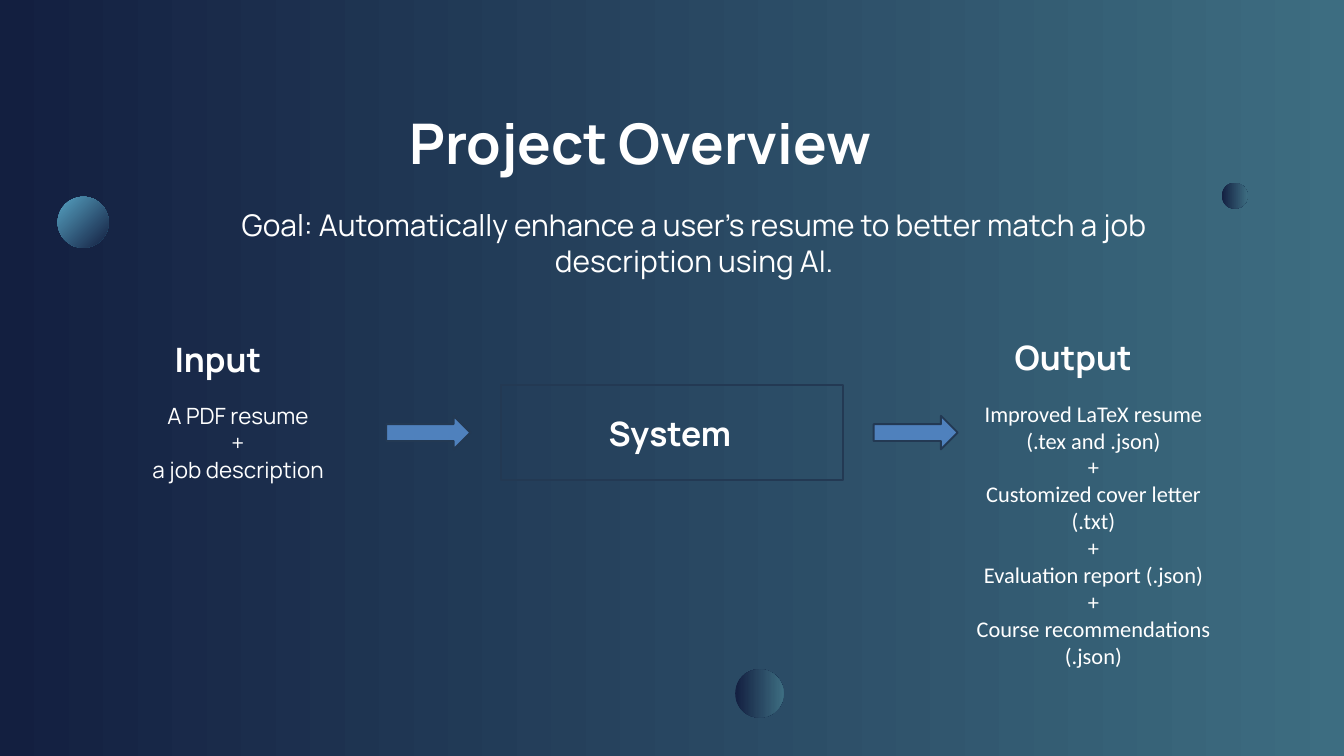
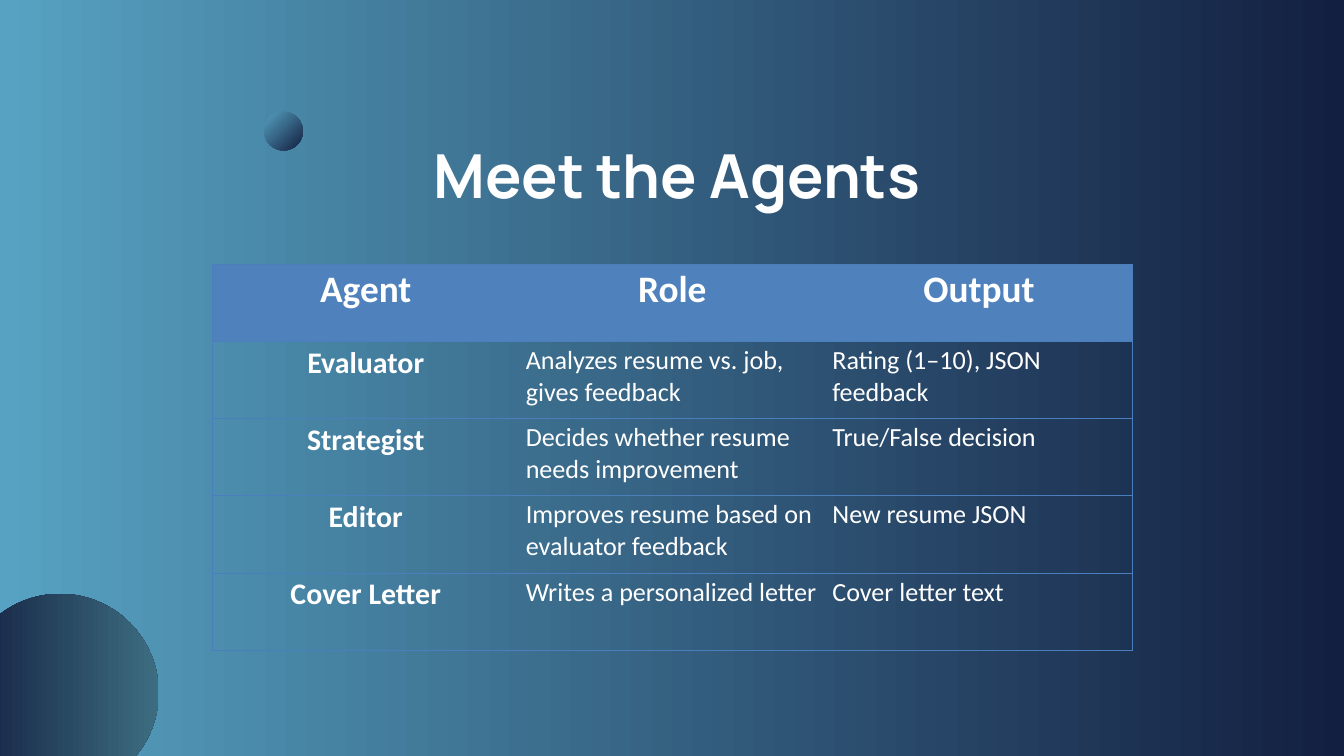
"""Builds two slides on a resume helper: its flow and its agents."""
from dataclasses import dataclass

from lxml import etree
from pptx import Presentation
from pptx import util as u
from pptx.dml.color import RGBColor
from pptx.enum import shapes, text
from pptx.oxml.ns import qn


@dataclass(frozen=True)
class Theme:
    navy: str = "131F40"
    teal: str = "3D6D81"
    sky: str = "57A2C2"
    blue: str = "4F81BD"
    edge: str = "233953"
    grid: str = "4B7EBC"
    white: str = "FFFFFF"
    head: str = "Manrope"
    body: str = "Calibri"
    goal: int = 32
    label: int = 36
    note: int = 24
    top: int = 40
    name: int = 32
    cell: int = 28


T = Theme()
MID, LEFT = text.PP_ALIGN.CENTER, text.PP_ALIGN.LEFT
DEEP, GLOW = (T.navy, T.teal, 0), (T.sky, T.navy, 45)
PLAIN = "{2D5ABB26-0587-4C30-8999-92F81FD0307C}"

FLOW = {
    "back": (T.navy, T.teal, 0),
    "title": ("Project Overview", (15.47, 4.39, 24, 2.31), 60, 64.2, LEFT),
    "orbs": [(2.18, 7.44, 1.93, GLOW), (46.18, 6.91, 0.98, DEEP), (27.79, 25.3, 1.83, DEEP)],
}
TEAM = {
    "back": (T.sky, T.navy, 0),
    "title": ("Meet the Agents", (3.04, 5.51, 45.09, 2.51), 65, 69.5, MID),
    "orbs": [(9.98, 4.22, 1.47, GLOW), (-1.47, 22.45, 7.47, DEEP)],
}
GOAL = "Goal: Automatically enhance a user’s resume to better match a job description using AI."
INPUT = ["A PDF resume", "+", "a job description"]
OUTPUT = [
    "Improved LaTeX resume (.tex and .json)", "+",
    "Customized cover letter (.txt)", "+",
    "Evaluation report (.json)", "+",
    "Course recommendations (.json)",
]
LABELS = [("System", 22.76, 15.47, 6.32), ("Input", 6.35, 12.7, 4.5), ("Output", 38.1, 12.6, 5.51)]
NOTES = [
    ([GOAL], (6.93, 7.7, 38.63, 3), T.goal, T.head),
    (INPUT, (3.38, 15.09, 11.23, 3.33), T.note, T.head),
    (OUTPUT, (36.2, 14.99, 10.26, 10.52), T.note, T.body),
]
SYSTEM = (18.95, 14.55, 12.9, 3.61)
ARROWS = (14.6, 33.02)
AGENTS = [
    ("Agent", "Role", "Output"),
    ("Evaluator", "Analyzes resume vs. job, gives feedback", "Rating (1–10), JSON feedback"),
    ("Strategist", "Decides whether resume needs improvement", "True/False decision"),
    ("Editor", "Improves resume based on evaluator feedback", "New resume JSON"),
    ("Cover Letter", "Writes a personalized letter", "Cover letter text"),
]


def box(*nums):
    return [u.Cm(num) for num in nums]


def rgb(code):
    return RGBColor.from_string(code)


def blend(fill, start, end, angle):
    fill.gradient()
    fill.gradient_angle = -angle % 360
    for stop, code, pos in zip(fill.gradient_stops, (start, end), (0, 1)):
        stop.color.rgb = rgb(code)
        stop.position = pos


def write(frame, lines, size, face, align=LEFT, bold=False, pitch=None):
    frame.text = "\n".join(lines)
    frame.word_wrap = True
    for par in frame.paragraphs:
        par.alignment = align
        if pitch:
            par.line_spacing = u.Pt(pitch)
        font = par.font
        font.size, font.name, font.bold = u.Pt(size), face, bold
        font.color.rgb = rgb(T.white)


def note(slide, lines, place, *style):
    frame = slide.shapes.add_textbox(*box(*place)).text_frame
    write(frame, lines, *style)
    frame.auto_size = text.MSO_AUTO_SIZE.SHAPE_TO_FIT_TEXT


def draw(slide, kind, place):
    shape = slide.shapes.add_shape(kind, *box(*place))
    shape.shadow.inherit = False
    return shape


def panel(slide, kind, place, code=None):
    shape = draw(slide, kind, place)
    if code:
        shape.fill.solid()
        shape.fill.fore_color.rgb = rgb(code)
    else:
        shape.fill.background()
    shape.line.color.rgb = rgb(T.edge)
    shape.line.width = u.Pt(2)


def start(deck, look):
    slide = deck.slides.add_slide(deck.slide_layouts[5])
    blend(slide.background.fill, *look["back"])
    words, place, size, pitch, align = look["title"]
    title = slide.shapes.title
    title.left, title.top, title.width, title.height = box(*place)
    frame = title.text_frame
    write(frame, [words], size, T.head, align, True, pitch)
    frame.vertical_anchor = text.MSO_ANCHOR.TOP
    frame.auto_size = text.MSO_AUTO_SIZE.SHAPE_TO_FIT_TEXT
    frame.margin_left = frame.margin_right = frame.margin_top = frame.margin_bottom = 0
    for left, top, size, tones in look["orbs"]:
        orb = draw(slide, shapes.MSO_SHAPE.OVAL, (left, top, size, size))
        blend(orb.fill, *tones)
        orb.line.fill.background()
    return slide


def rule(cell, sides):
    props = cell._tc.get_or_add_tcPr()
    for side in "LRTB":
        line = etree.SubElement(props, qn("a:ln" + side), w=str(u.Pt(0.75)))
        if side in sides:
            fill = etree.SubElement(line, qn("a:solidFill"))
            etree.SubElement(fill, qn("a:srgbClr"), val=T.grid)
        else:
            etree.SubElement(line, qn("a:noFill"))


def flow(deck):
    slide = start(deck, FLOW)
    panel(slide, shapes.MSO_SHAPE.RECTANGLE, SYSTEM)
    for left in ARROWS:
        panel(slide, shapes.MSO_SHAPE.RIGHT_ARROW, (left, 15.72, 3.18, 1.27), T.blue)
    for word, left, top, width in LABELS:
        note(slide, [word], (left, top, width, 1.8), T.label, T.head, LEFT, True)
    for lines, place, size, face in NOTES:
        note(slide, lines, place, size, face, MID)


def team(deck):
    slide = start(deck, TEAM)
    rows, cols = len(AGENTS), len(AGENTS[0])
    table = slide.shapes.add_table(rows, cols, *box(8.03, 9.98, 34.77, 14.6)).table
    table.horz_banding = False
    table._tbl.tblPr.find(qn("a:tableStyleId")).text = PLAIN
    for r, row in enumerate(AGENTS):
        for c, words in enumerate(row):
            cell = table.cell(r, c)
            strong = r == 0 or c == 0
            size = T.top if r == 0 else T.name if c == 0 else T.cell
            write(cell.text_frame, [words], size, T.body, MID if strong else LEFT, strong)
            rule(cell, "TB" + "L" * (c == 0) + "R" * (c == cols - 1))
            if r == 0:
                cell.fill.solid()
                cell.fill.fore_color.rgb = rgb(T.blue)
            else:
                cell.fill.background()


def main():
    deck = Presentation()
    deck.slide_width, deck.slide_height = box(50.8, 28.58)
    flow(deck)
    team(deck)
    deck.save("out.pptx")


if __name__ == "__main__":
    main()
